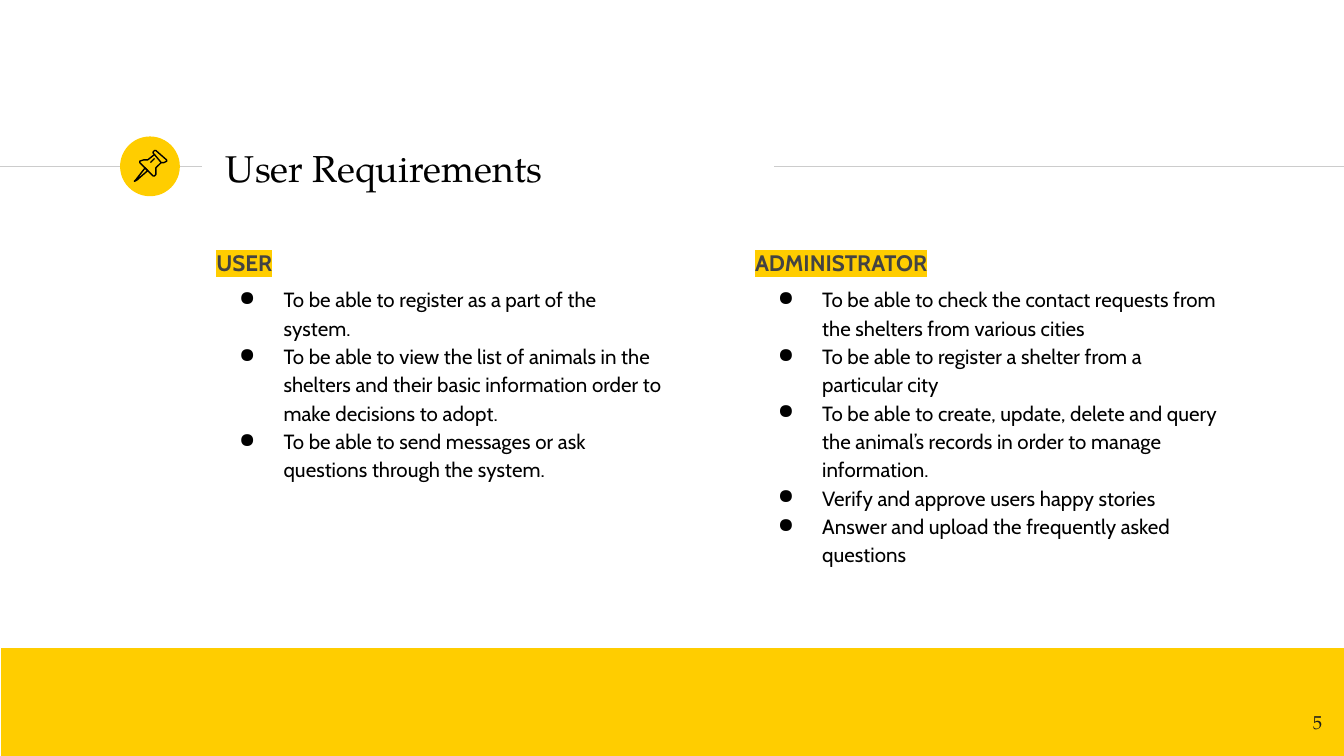
import pptx
import pptx.dml.color
import pptx.enum.shapes
import pptx.enum.text
import pptx.oxml
import pptx.oxml.ns
import pptx.util
from lxml import etree
from pptx.util import Cm, Pt

YELLOW, BLACK, GREY = "FFCD00", "000000", "CCCCCC"
SERIF, SANS = "TeX Gyre Pagella", "Cabin"
RULE_Y = 3.15

USER_NEEDS = [
    "To be able to register as a part of the system.",
    "To be able to view the list of animals in the shelters and their basic "
    "information order to make decisions to adopt.",
    "To be able to send messages or ask questions through the system.",
]
ADMINISTRATOR_NEEDS = [
    "To be able to check the contact requests from the shelters from various cities",
    "To be able to register a shelter from a particular city",
    "To be able to create, update, delete and query the animal’s records in order "
    "to manage information.",
    "Verify and approve users happy stories",
    "Answer and upload the frequently asked questions",
]

PIN_UNIT = Cm(0.0254)
PIN_NEEDLE = [(108, 125), (101, 134), (100, 135), (102, 134), (110, 127)]
PIN_HEAD = [(115, 115), (120, 121), (122, 121), (124, 120), (124, 119),
            (116, 112), (115, 112), (114, 113), (114, 114)]
PIN_BODY = [(115, 115), (110, 119), (107, 119), (104, 120), (104, 121),
            (114, 131), (115, 131), (116, 130), (116, 125), (120, 121)]
PIN_GLINT = [(112, 121), (115, 118)]


def rgb(code):
    """Turn a hex string into a colour."""
    return pptx.dml.color.RGBColor.from_string(code)


def style_font(font, face, size, color, bold=False):
    """Set face, size, colour and weight of a font."""
    font.size, font.bold = Pt(size), bold
    font.color.rgb = rgb(color)
    font.name = face


def add_rule(slide, start, end):
    """Draw a thin horizontal rule at the height of the title."""
    rule = slide.shapes.add_connector(
        pptx.enum.shapes.MSO_CONNECTOR.STRAIGHT,
        Cm(start), Cm(RULE_Y), Cm(end), Cm(RULE_Y))
    rule.line.color.rgb = rgb(GREY)
    rule.line.width = Pt(0.75)
    etree.SubElement(rule._element.spPr, pptx.oxml.ns.qn("a:effectLst"))


def add_yellow_shape(slide, kind, left, top, width, height):
    """Add a plain yellow shape without outline."""
    shape = slide.shapes.add_shape(kind, Cm(left), Cm(top), Cm(width), Cm(height))
    shape.shadow.inherit = False
    shape.fill.solid()
    shape.fill.fore_color.rgb = rgb(YELLOW)
    shape.line.fill.background()


def add_pin_part(slide, points, close):
    """Draw one outlined part of the push pin."""
    builder = slide.shapes.build_freeform(*points[0], scale=PIN_UNIT)
    builder.add_line_segments(points[1:], close=close)
    part = builder.convert_to_shape()
    part.shadow.inherit = False
    part.fill.background()
    part.line.color.rgb = rgb(BLACK)
    part.line.width = Pt(0.75)


def set_margins(frame, left=0.25):
    """Make a text frame wrap inside even margins."""
    frame.word_wrap = True
    frame.auto_size = pptx.enum.text.MSO_AUTO_SIZE.NONE
    frame.margin_left = Cm(left)
    frame.margin_right = frame.margin_top = frame.margin_bottom = Cm(0.25)


def add_text_frame(slide, left, top, width, height):
    """Add a text box and return its frame."""
    box = slide.shapes.add_textbox(Cm(left), Cm(top), Cm(width), Cm(height))
    set_margins(box.text_frame)
    return box.text_frame


def set_title(slide, text):
    """Place and format the title."""
    title = slide.shapes.title
    title.left, title.top, title.width, title.height = (
        Cm(3.84), Cm(2.49), Cm(10.77), Cm(1.22))
    title.text = text
    set_margins(title.text_frame, left=0.43)
    title.text_frame.vertical_anchor = pptx.enum.text.MSO_ANCHOR.MIDDLE
    paragraph = title.text_frame.paragraphs[0]
    paragraph.alignment = pptx.enum.text.PP_ALIGN.LEFT
    paragraph.line_spacing = 1.15
    paragraph.space_before, paragraph.space_after = Pt(18), Pt(6)
    style_font(paragraph.font, SERIF, 20, BLACK)


def highlight(run, color):
    """Put a marker colour behind a run."""
    fill = run.font._element.find(pptx.oxml.ns.qn("a:solidFill"))
    fill.addnext(pptx.oxml.parse_xml(
        f'<a:highlight {pptx.oxml.ns.nsdecls("a")}>'
        f'<a:srgbClr val="{color}"/></a:highlight>'))


def set_bullet(paragraph):
    """Give a paragraph a black dot and a hanging indent."""
    properties = paragraph._p.get_or_add_pPr()
    properties.set("marL", str(Cm(1.27)))
    properties.set("indent", str(Cm(-0.84)))
    dot = [f'<a:buClr {pptx.oxml.ns.nsdecls("a")}><a:srgbClr val="{BLACK}"/></a:buClr>',
           f'<a:buChar {pptx.oxml.ns.nsdecls("a")} char="●"/>']
    font = properties.find(pptx.oxml.ns.qn("a:defRPr"))
    for xml in dot:
        font.addprevious(pptx.oxml.parse_xml(xml))


def add_requirements(slide, left, width, height, role, needs):
    """Add a column with a marked role and its bulleted needs."""
    frame = add_text_frame(slide, left, 4.39, width, height)
    heading = frame.paragraphs[0]
    heading.line_spacing, heading.space_before = 1.15, Pt(16)
    run = heading.add_run()
    run.text = role
    style_font(run.font, SANS, 12, "434343", bold=True)
    highlight(run, YELLOW)
    for index, need in enumerate(needs):
        item = frame.add_paragraph()
        item.text = need
        item.line_spacing = 1.15
        item.space_before = Pt(0 if index else 4)
        style_font(item.font, SANS, 11, BLACK)
        set_bullet(item)


def add_page_number(slide, number):
    """Add the page number at the lower right."""
    paragraph = add_text_frame(slide, 23.72, 13.18, 1.52, 1.09).paragraphs[0]
    paragraph.text = number
    paragraph.alignment = pptx.enum.text.PP_ALIGN.RIGHT
    style_font(paragraph.font, SERIF, 10, "1D1D1B")


def main():
    """Build the slide and save it."""
    deck = pptx.Presentation()
    deck.slide_width, deck.slide_height = Cm(25.4), Cm(14.29)
    slide = deck.slides.add_slide(deck.slide_layouts[5])
    shapes = pptx.enum.shapes.MSO_SHAPE

    set_title(slide, "User Requirements")
    add_rule(slide, 0, 3.81)
    add_rule(slide, 14.63, 25.4)
    add_yellow_shape(slide, shapes.OVAL, 2.27, 2.58, 1.13, 1.13)
    add_yellow_shape(slide, shapes.RECTANGLE, 0.02, 12.25, 25.4, 2.04)
    for part in (PIN_NEEDLE, PIN_HEAD, PIN_BODY, PIN_GLINT):
        add_pin_part(slide, part, close=part in (PIN_NEEDLE, PIN_HEAD))
    add_requirements(slide, 3.84, 8.97, 6.12, "USER", USER_NEEDS)
    add_requirements(slide, 14.02, 9.35, 7.19, "ADMINISTRATOR", ADMINISTRATOR_NEEDS)
    add_page_number(slide, "5")
    deck.save("out.pptx")


if __name__ == "__main__":
    main()
